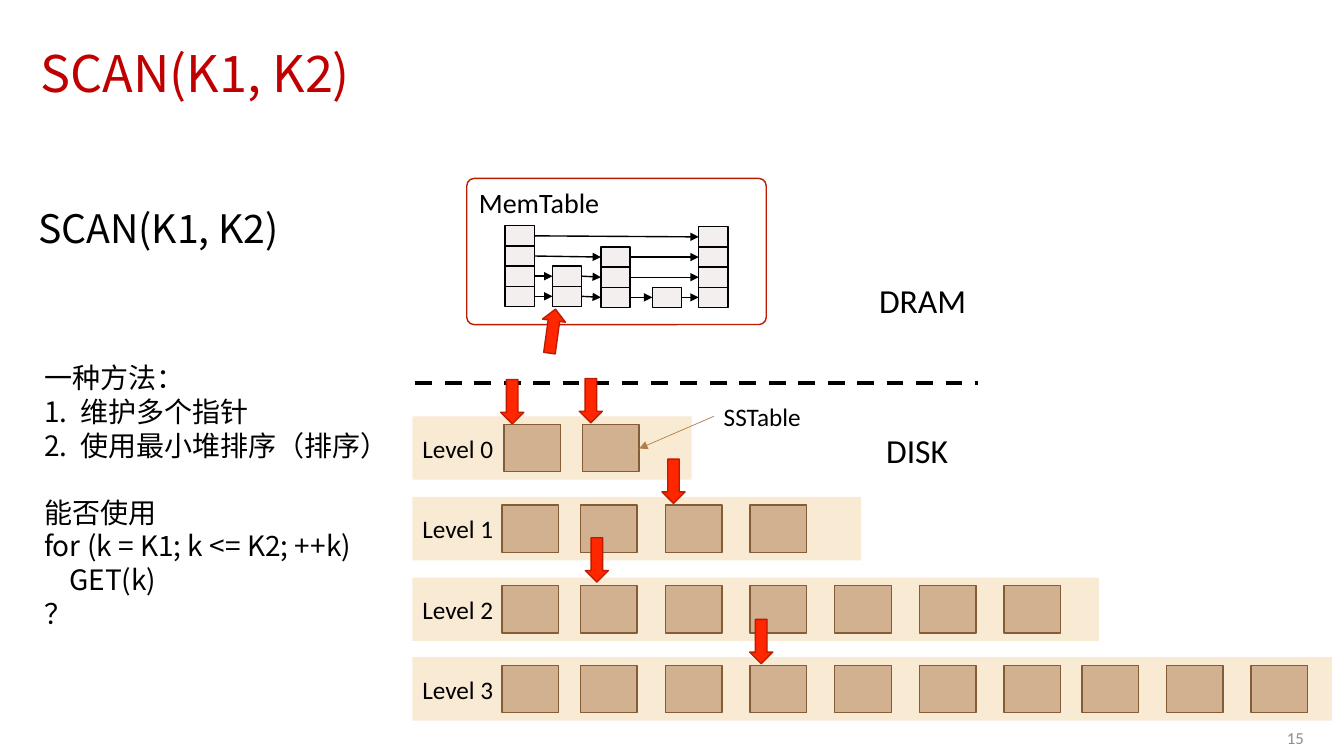
from pptx import Presentation
from pptx.util import Inches, Pt
from pptx.dml.color import RGBColor
from pptx.enum.dml import MSO_LINE
from pptx.enum.shapes import MSO_CONNECTOR, MSO_SHAPE
from pptx.enum.text import MSO_ANCHOR, PP_ALIGN
from pptx.oxml.ns import qn
from lxml.etree import SubElement

COLORS = {"title": "C00000", "text": "000000", "number": "8C8C8C", "level": "F9EAD3",
          "sstable": "D2B191", "sstable_line": "845C36", "callout": "B27D49",
          "memtable": "BD1C00", "node": "E7DEDA", "pointer": "FF2600"}
LATIN, CJK = "Calibri", "Noto Sans CJK SC"

HEADING = "SCAN(K1, K2)"
NOTES = [
    ("一种方法：", {}),
    ("维护多个指针", {"numbered": True}),
    ("使用最小堆排序（排序）", {"numbered": True}),
    ("能否使用", {"before": 24}),
    ("for (k = K1; k <= K2; ++k)", {}),
    ("GET(k)", {"indent": 0.25}),
    ("？", {}),
]
LABELS = [("DRAM", 8.62, 2.73, 1.07, 0.5, 24), ("DISK", 8.69, 4.22, 0.82, 0.5, 24),
          ("SSTable", 7.08, 3.93, 0.97, 0.4, 18)]
LEVELS = [("Level 0", 4.13, 2.77, 5.0, 2), ("Level 1", 4.93, 4.45, 4.98, 4),
          ("Level 2", 5.73, 6.81, 4.98, 7), ("Level 3", 6.52, 9.12, 4.98, 10)]
SSTABLE_OFFSETS = [0] + [0.78 + 0.84 * i for i in range(6)] + [5.75 + 0.84 * i for i in range(3)]
SKIP_LIST = [(5.01, 2.84, 4), (5.48, 2.84, 2), (5.96, 2.85, 3), (6.47, 2.85, 1), (6.93, 2.85, 4)]
NODE_W, NODE_H = 0.29, 0.2
POINTERS = [(4.86, 3.87, 90), (5.64, 3.86, 90), (6.46, 4.66, 90),
            (5.7, 5.44, 90), (7.33, 6.25, 90), (5.26, 3.17, 277.8)]

prs = Presentation()
prs.slide_width, prs.slide_height = Inches(13.33), Inches(7.5)
s = prs.slides.add_slide(prs.slide_layouts[5])


def rgb(name):
    return RGBColor.from_string(COLORS[name])


def write(p, text, size=18, font=LATIN, color="text", align=PP_ALIGN.LEFT,
          spacing=None, before=0, indent=0, numbered=False):
    p.alignment = align
    p.space_before = Pt(before)
    if spacing:
        p.line_spacing = spacing
    pPr = p._p.get_or_add_pPr()
    if numbered:
        pPr.set("marL", str(Inches(0.36)))
        pPr.set("indent", str(-Inches(0.36)))
        SubElement(pPr, qn("a:buFont"), typeface=font)
        SubElement(pPr, qn("a:buAutoNum"), type="arabicPeriod")
    elif indent:
        pPr.set("marL", str(Inches(indent)))
    r = p.add_run()
    r.text = text
    r.font.size = Pt(size)
    r.font.color.rgb = rgb(color)
    r.font.name = font
    SubElement(r._r.get_or_add_rPr(), qn("a:ea"), typeface=font)


def add_text(x, y, w, h, lines, wrap=False, anchor=MSO_ANCHOR.TOP, **shared):
    tf = s.shapes.add_textbox(Inches(x), Inches(y), Inches(w), Inches(h)).text_frame
    tf.word_wrap = wrap
    tf.vertical_anchor = anchor
    for i, (text, fmt) in enumerate(lines):
        p = tf.add_paragraph() if i else tf.paragraphs[0]
        write(p, text, **shared, **fmt)


def add_box(x, y, w, h, fill=None, line=None, kind=MSO_SHAPE.RECTANGLE, alpha=None):
    sp = s.shapes.add_shape(kind, Inches(x), Inches(y), Inches(w), Inches(h))
    sp.shadow.inherit = False
    if fill:
        sp.fill.solid()
        sp.fill.fore_color.rgb = rgb(fill)
        if alpha:
            color = sp._element.spPr.find(qn("a:solidFill"))[0]
            SubElement(color, qn("a:alpha"), val=str(alpha * 1000))
    else:
        sp.fill.background()
    if line:
        sp.line.color.rgb = rgb(line)
        sp.line.width = Pt(1)
    else:
        sp.line.fill.background()
    return sp


def add_line(x1, y1, x2, y2, color="text", width=1, arrow=True):
    c = s.shapes.add_connector(MSO_CONNECTOR.STRAIGHT, Inches(x1), Inches(y1), Inches(x2), Inches(y2))
    c.line.color.rgb = rgb(color)
    c.line.width = Pt(width)
    if arrow:
        SubElement(c.line._get_or_add_ln(), qn("a:tailEnd"), type="triangle")
    SubElement(c._element.spPr, qn("a:effectLst"))
    return c


title = s.shapes.title
title.left, title.top, title.width, title.height = map(Inches, (0.3, 0.4, 12.73, 0.71))
title.text_frame.vertical_anchor = MSO_ANCHOR.MIDDLE
write(title.text_frame.paragraphs[0], HEADING, size=36, font=CJK, color="title", spacing=0.9)

for name, top, width, left, count in LEVELS:
    bar = add_box(4.09, top, width, 0.63, fill="level")
    bar.text_frame.vertical_anchor = MSO_ANCHOR.MIDDLE
    write(bar.text_frame.paragraphs[0], name)
    for offset in SSTABLE_OFFSETS[:count]:
        add_box(left + offset, top + 0.08, 0.56, 0.47, "sstable", "sstable_line")

add_text(9.42, 7.16, 3.61, 0.32, [("15", {})], wrap=True, anchor=MSO_ANCHOR.MIDDLE,
         size=12, color="number", align=PP_ALIGN.RIGHT)

memtable = add_box(4.63, 1.77, 2.97, 1.45, line="memtable", kind=MSO_SHAPE.ROUNDED_RECTANGLE)
memtable.adjustments[0] = 0.05
memtable.text_frame.vertical_anchor = MSO_ANCHOR.TOP
write(memtable.text_frame.paragraphs[0], "MemTable", size=20)

for x, base, height in SKIP_LIST:
    for row in range(height):
        add_box(x, base - row * NODE_H, NODE_W, NODE_H, "node", "text", alpha=46)
for row in range(4):
    nodes = [(x, base + NODE_H / 2 - row * NODE_H) for x, base, height in SKIP_LIST if height > row]
    for (x1, y1), (x2, y2) in zip(nodes, nodes[1:]):
        add_line(x1 + NODE_W, y1, x2, y2)

add_line(4.12, 3.8, 9.7, 3.8, width=3, arrow=False).line.dash_style = MSO_LINE.DASH
add_line(7.08, 4.13, 6.34, 4.45, color="callout", width=0.5)
for text, x, y, w, h, size in LABELS:
    add_text(x, y, w, h, [(text, {})], size=size)

add_text(0.28, 1.98, 2.72, 0.57, [(HEADING, {})], size=28, font=CJK, spacing=Pt(33.8))
add_text(0.34, 3.53, 3.86, 2.79, NOTES, wrap=True, size=20, font=CJK, spacing=Pt(24))

for x, y, angle in POINTERS:
    pointer = add_box(x, y, 0.44, 0.23, "pointer", "memtable", kind=MSO_SHAPE.RIGHT_ARROW)
    pointer.rotation = angle

prs.save("out.pptx")
